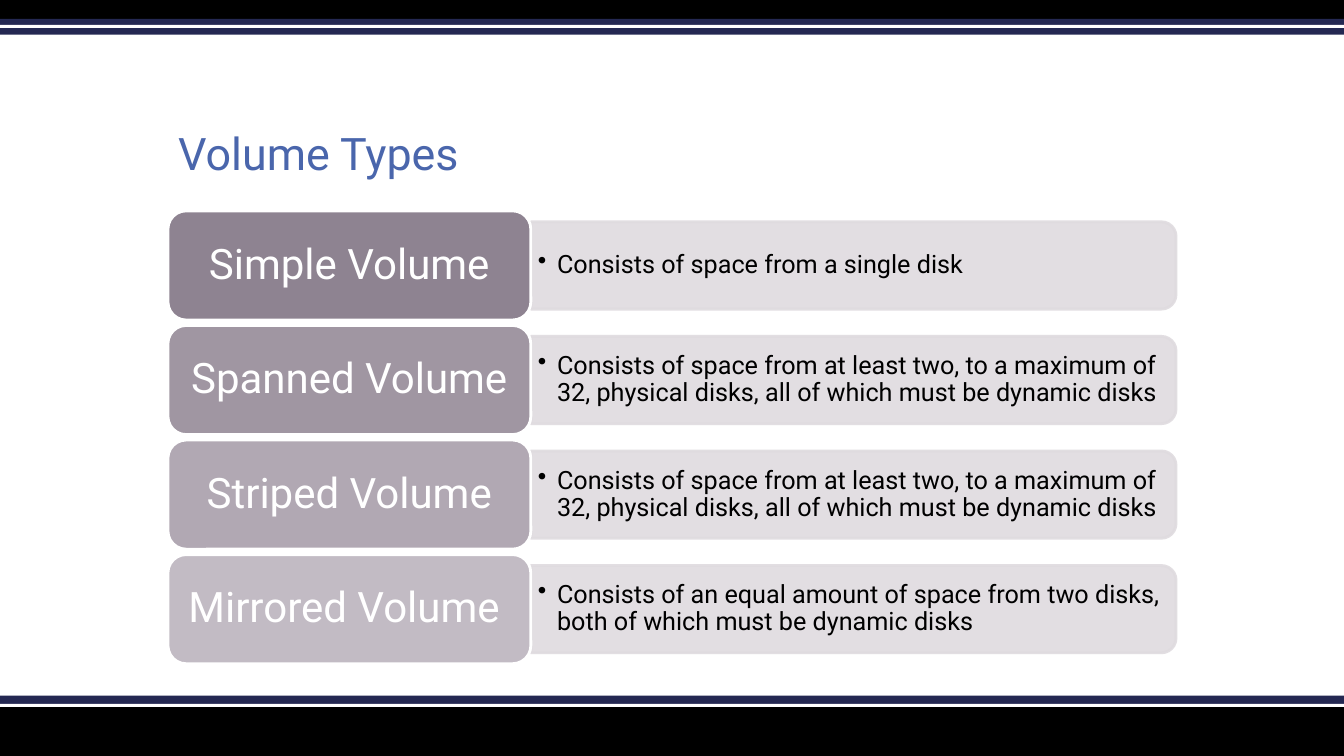
from dataclasses import dataclass
from lxml.etree import SubElement
from pptx import Presentation
from pptx.dml.color import RGBColor
from pptx.enum.shapes import MSO_SHAPE
from pptx.enum.text import MSO_ANCHOR, PP_ALIGN
from pptx.oxml.ns import qn
from pptx.util import Inches, Pt


@dataclass(frozen=True)
class Theme:
    font: str = "Roboto"
    title: str = "4A66AC"
    black: str = "000000"
    white: str = "FFFFFF"
    navy: str = "242852"
    panel: str = "DFDBDF"
    title_size: int = 32
    name_size: int = 30
    detail_size: int = 18


T = Theme()
W, H = 13.33, 7.5
LEFT, WIDTH = W / 8, W * 0.75
TOP, BODY = H * 0.279, H * 0.599
ROW = BODY / 4.15
PITCH = ROW * 1.05
NAME_W, PANEL_W, PANEL_H = WIDTH * 0.36, WIDTH * 0.64, ROW * 0.8

prs = Presentation()
prs.slide_width, prs.slide_height = Inches(W), Inches(H)
s = prs.slides.add_slide(prs.slide_layouts[5])


def add_box(kind, x, y, w, h, fill, line=None):
    sp = s.shapes.add_shape(kind, Inches(x), Inches(y), Inches(w), Inches(h))
    sp.shadow.inherit = False
    sp.fill.solid()
    sp.fill.fore_color.rgb = RGBColor.from_string(fill)
    if line:
        sp.line.color.rgb = RGBColor.from_string(line)
        sp.line.width = Pt(2)
    else:
        sp.line.fill.background()
    return sp


def write(sp, text, size, color, align, anchor, insets=(0.1, 0.05)):
    tf = sp.text_frame
    tf.word_wrap = True
    tf.vertical_anchor = anchor
    tf.margin_left = tf.margin_right = Inches(insets[0])
    tf.margin_top = tf.margin_bottom = Inches(insets[1])
    p = tf.paragraphs[0]
    p.alignment, p.line_spacing = align, 0.9
    r = p.add_run()
    r.text = text
    r.font.name, r.font.size = T.font, Pt(size)
    r.font.color.rgb = RGBColor.from_string(color)
    return p


bands = [
    (0.933, 0.067, T.black),
    (0.92, 0.014, T.navy),
    (0.931, 0.004, T.white),
    (0, 0.025, T.black),
    (0.025, 0.021, T.navy),
    (0.033, 0.004, T.white),
]
for y, h, color in bands:
    add_box(MSO_SHAPE.RECTANGLE, 0, y * H, W, h * H, color)

title = s.shapes.title
title.left, title.top = Inches(LEFT), Inches(H * 0.089)
title.width, title.height = Inches(WIDTH), Inches(H * 0.156)
write(title, "Volume Types", T.title_size, T.title, PP_ALIGN.LEFT, MSO_ANCHOR.BOTTOM)

multi_disk = ("Consists of space from at least two, to a maximum of 32, "
              "physical disks, all of which must be dynamic disks")
volumes = [
    ("Simple Volume", "8E8391", "Consists of space from a single disk"),
    ("Spanned Volume", "A096A2", multi_disk),
    ("Striped Volume", "B1A8B3", multi_disk),
    ("Mirrored Volume ", "C2BBC4", "Consists of an equal amount of space from "
     "two disks, both of which must be dynamic disks"),
]
for i, (name, color, detail) in enumerate(volumes):
    y = TOP + i * PITCH
    mid, split = y + ROW / 2, LEFT + NAME_W

    panel = add_box(MSO_SHAPE.ROUND_2_SAME_RECTANGLE,
                    split + (PANEL_W - PANEL_H) / 2, mid - PANEL_W / 2,
                    PANEL_H, PANEL_W, T.panel, T.panel)
    panel.rotation = 90
    for clr in panel._element.spPr.iter(qn("a:srgbClr")):
        SubElement(clr, qn("a:alpha"), val="90000")

    box = s.shapes.add_textbox(Inches(split), Inches(mid - PANEL_H * 0.45),
                               Inches(PANEL_W - 0.04), Inches(PANEL_H * 0.9))
    p = write(box, detail, T.detail_size, T.black,
              PP_ALIGN.LEFT, MSO_ANCHOR.MIDDLE, (0.07, 0.04))
    pPr = p._p.get_or_add_pPr()
    pPr.set("marL", str(Inches(0.19)))
    pPr.set("indent", str(-Inches(0.19)))
    SubElement(pPr, qn("a:buChar"), char="•")

    label = add_box(MSO_SHAPE.ROUNDED_RECTANGLE, LEFT, y, NAME_W, ROW, color, T.white)
    write(label, name, T.name_size, T.white,
          PP_ALIGN.CENTER, MSO_ANCHOR.MIDDLE, (0.12, 0.06))

prs.save("out.pptx")
